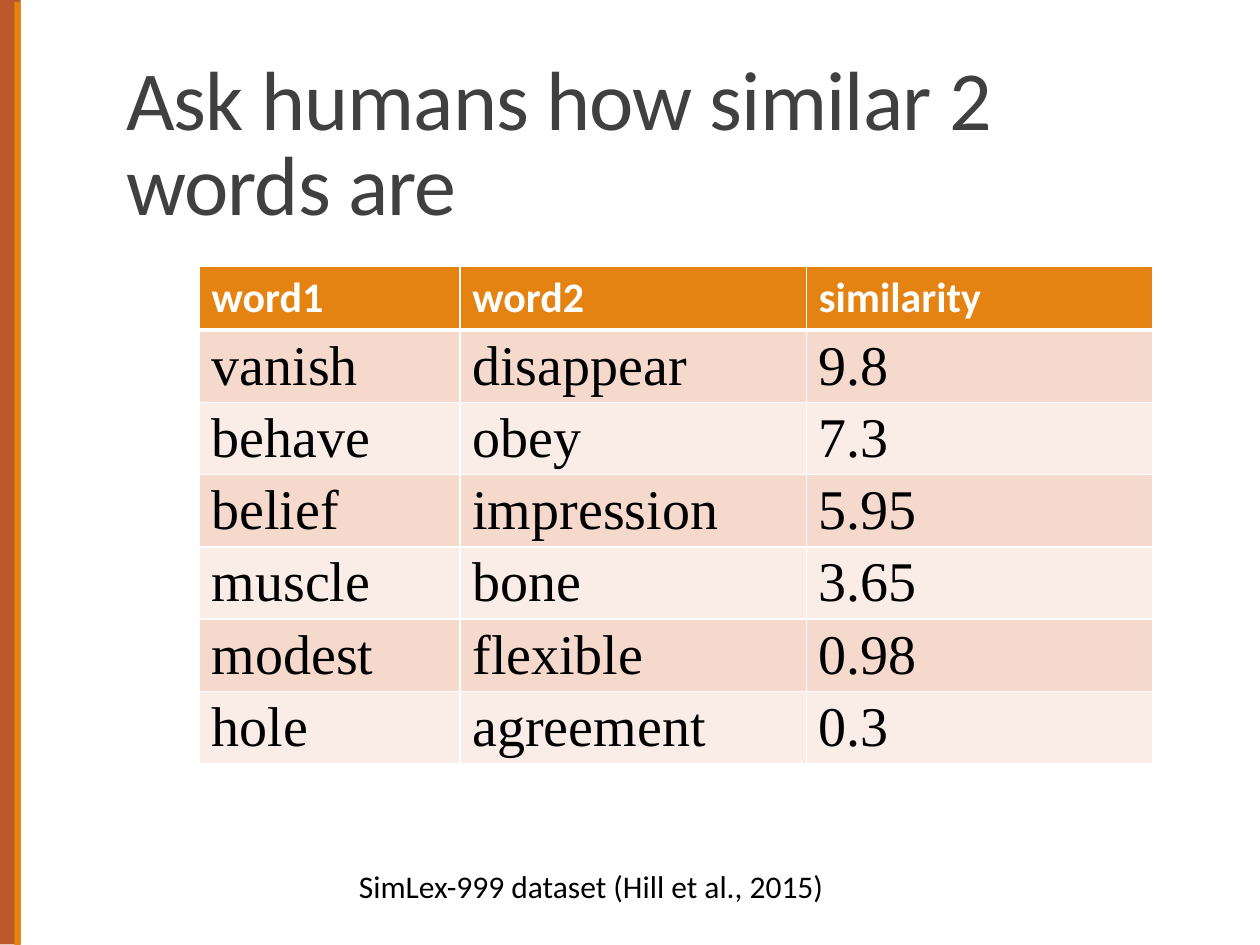
from dataclasses import dataclass

from lxml import etree
from pptx import Presentation
from pptx.dml.color import RGBColor
from pptx.enum.shapes import MSO_SHAPE
from pptx.enum.text import MSO_ANCHOR, MSO_AUTO_SIZE, PP_ALIGN
from pptx.oxml.ns import qn
from pptx.util import Inches, Pt

RECTANGLE = MSO_SHAPE.RECTANGLE
MIDDLE, BOTTOM = MSO_ANCHOR.MIDDLE, MSO_ANCHOR.BOTTOM
NO_AUTOFIT, GROW = MSO_AUTO_SIZE.NONE, MSO_AUTO_SIZE.SHAPE_TO_FIT_TEXT
LEFT = PP_ALIGN.LEFT

WHITE = RGBColor(0xFF, 0xFF, 0xFF)
BLACK = RGBColor(0x00, 0x00, 0x00)
DARK_GRAY = RGBColor(0x40, 0x40, 0x40)
RUST = RGBColor(0xBD, 0x58, 0x2C)
ORANGE = RGBColor(0xE4, 0x83, 0x12)
BAND_DARK = RGBColor(0xF5, 0xD9, 0xCC)
BAND_LIGHT = RGBColor(0xFA, 0xED, 0xE7)

TITLE_FONT = {"name": "Calibri", "size": Pt(48), "bold": False}
HEADER_FONT = {"name": "Calibri", "size": Pt(24), "bold": True}
BODY_FONT = {"name": "Times New Roman", "size": Pt(32), "bold": False}
SOURCE_FONT = {"name": "Calibri", "size": Pt(18), "bold": False}

COLUMN_WIDTHS = (2.07, 2.75, 2.75)
ROW_HEIGHT = 0.51
WORD_PAIRS = (
    ("word1", "word2", "similarity"),
    ("vanish", "disappear", "9.8"),
    ("behave", "obey", "7.3"),
    ("belief", "impression", "5.95"),
    ("muscle", "bone", "3.65"),
    ("modest", "flexible", "0.98"),
    ("hole", "agreement", "0.3"),
)


@dataclass(frozen=True)
class Bar:
    left: float
    top: float
    length: float
    thickness: float
    color: RGBColor


SIDE_BARS = (
    Bar(-3.69, 3.64, 7.5, 0.21, RUST),
    Bar(-3.61, 3.74, 7.5, 0.05, ORANGE),
)


def format_text(paragraph, font_format: dict, color: RGBColor) -> None:
    paragraph.alignment = LEFT
    for name, value in font_format.items():
        setattr(paragraph.font, name, value)
    paragraph.font.color.rgb = color


def add_side_bar(slide, bar: Bar) -> None:
    shape = slide.shapes.add_shape(
        RECTANGLE, Inches(bar.left), Inches(bar.top),
        Inches(bar.length), Inches(bar.thickness))
    shape.rotation = 270
    shape.shadow.inherit = False
    shape.fill.solid()
    shape.fill.fore_color.rgb = bar.color
    shape.line.fill.background()


def fill_title(slide) -> None:
    title = slide.shapes.title
    title.left, title.top = Inches(0.9), Inches(0.31)
    title.width, title.height = Inches(8.25), Inches(1.59)
    frame = title.text_frame
    frame.text = "Ask humans how similar 2 words are"
    frame.word_wrap = True
    frame.auto_size = NO_AUTOFIT
    frame.vertical_anchor = BOTTOM
    paragraph = frame.paragraphs[0]
    paragraph.line_spacing = 0.85
    format_text(paragraph, TITLE_FONT, DARK_GRAY)
    paragraph.runs[0].font._element.set("spc", "-50")


def set_borders(cell, bottom_width: float) -> None:
    properties = cell._tc.get_or_add_tcPr()
    widths = {"a:lnL": 1, "a:lnR": 1, "a:lnT": 1, "a:lnB": bottom_width}
    for index, (tag, width) in enumerate(widths.items()):
        line = etree.Element(qn(tag), w=str(Pt(width)))
        fill = etree.SubElement(line, qn("a:solidFill"))
        etree.SubElement(fill, qn("a:srgbClr"), val=str(WHITE))
        properties.insert(index, line)


def format_cell(cell, text: str, row_index: int) -> None:
    is_header = row_index == 0
    cell.text = text
    cell.vertical_anchor = MIDDLE
    cell.margin_top = cell.margin_bottom = Inches(0.04)
    cell.fill.solid()
    if is_header:
        cell.fill.fore_color.rgb = ORANGE
    else:
        cell.fill.fore_color.rgb = BAND_DARK if row_index % 2 else BAND_LIGHT
    format_text(cell.text_frame.paragraphs[0],
                HEADER_FONT if is_header else BODY_FONT,
                WHITE if is_header else BLACK)
    set_borders(cell, 3 if is_header else 1)
    if row_index == 1:
        cell._tc.tcPr.find(qn("a:lnT")).set("w", str(Pt(3)))


def add_similarity_table(slide) -> None:
    graphic_frame = slide.shapes.add_table(
        len(WORD_PAIRS), len(COLUMN_WIDTHS), Inches(1.58), Inches(2.11),
        Inches(sum(COLUMN_WIDTHS)), Inches(ROW_HEIGHT * len(WORD_PAIRS)))
    table = graphic_frame.table
    for column, width in zip(table.columns, COLUMN_WIDTHS):
        column.width = Inches(width)
    for row_index, (row, texts) in enumerate(zip(table.rows, WORD_PAIRS)):
        row.height = Inches(ROW_HEIGHT)
        for cell, text in zip(row.cells, texts):
            format_cell(cell, text, row_index)
    graphic_frame.height = Inches(4.31)


def add_source(slide) -> None:
    box = slide.shapes.add_textbox(
        Inches(2.75), Inches(6.83), Inches(3.99), Inches(0.4))
    frame = box.text_frame
    frame.text = "SimLex-999 dataset (Hill et al., 2015)"
    frame.word_wrap = False
    frame.auto_size = GROW
    format_text(frame.paragraphs[0], SOURCE_FONT, BLACK)


def main() -> None:
    presentation = Presentation()
    presentation.slide_width, presentation.slide_height = Inches(10), Inches(7.5)
    slide = presentation.slides.add_slide(presentation.slide_layouts[5])
    for bar in SIDE_BARS:
        add_side_bar(slide, bar)
    fill_title(slide)
    add_similarity_table(slide)
    add_source(slide)
    presentation.save("out.pptx")


if __name__ == "__main__":
    main()
